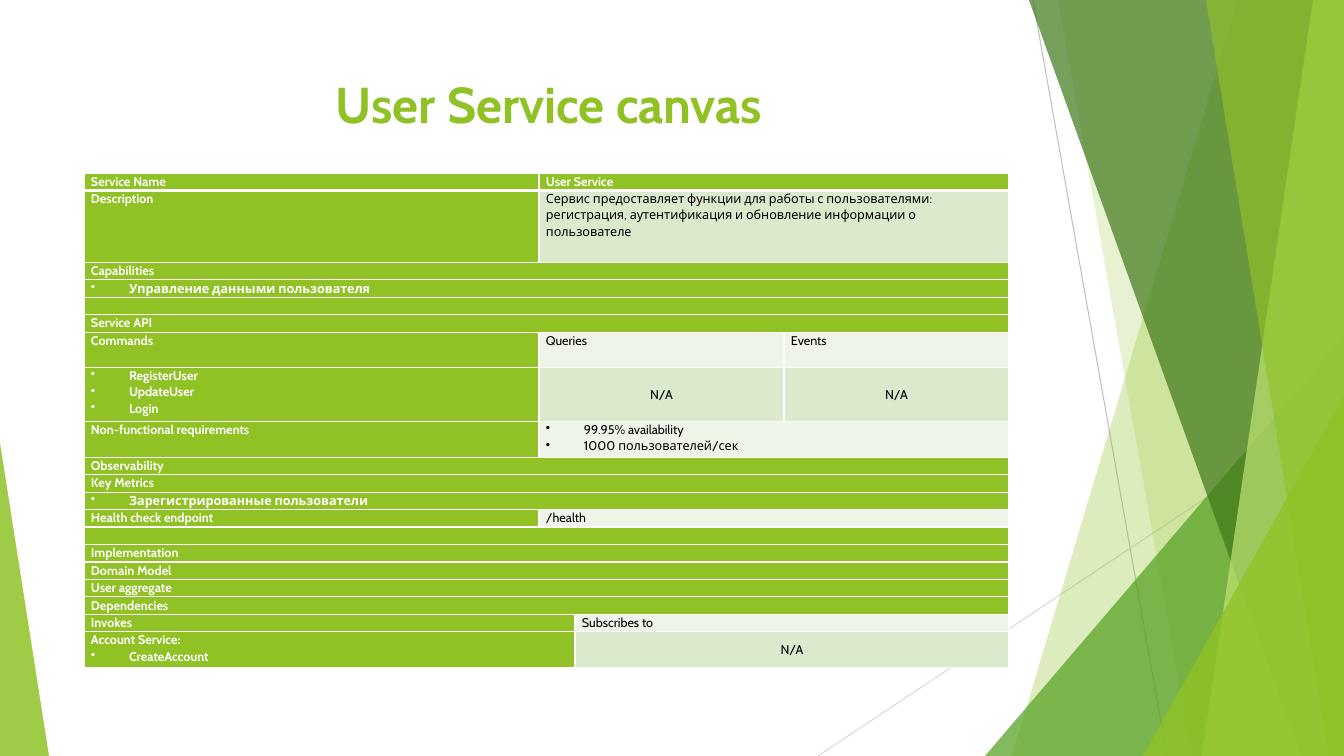
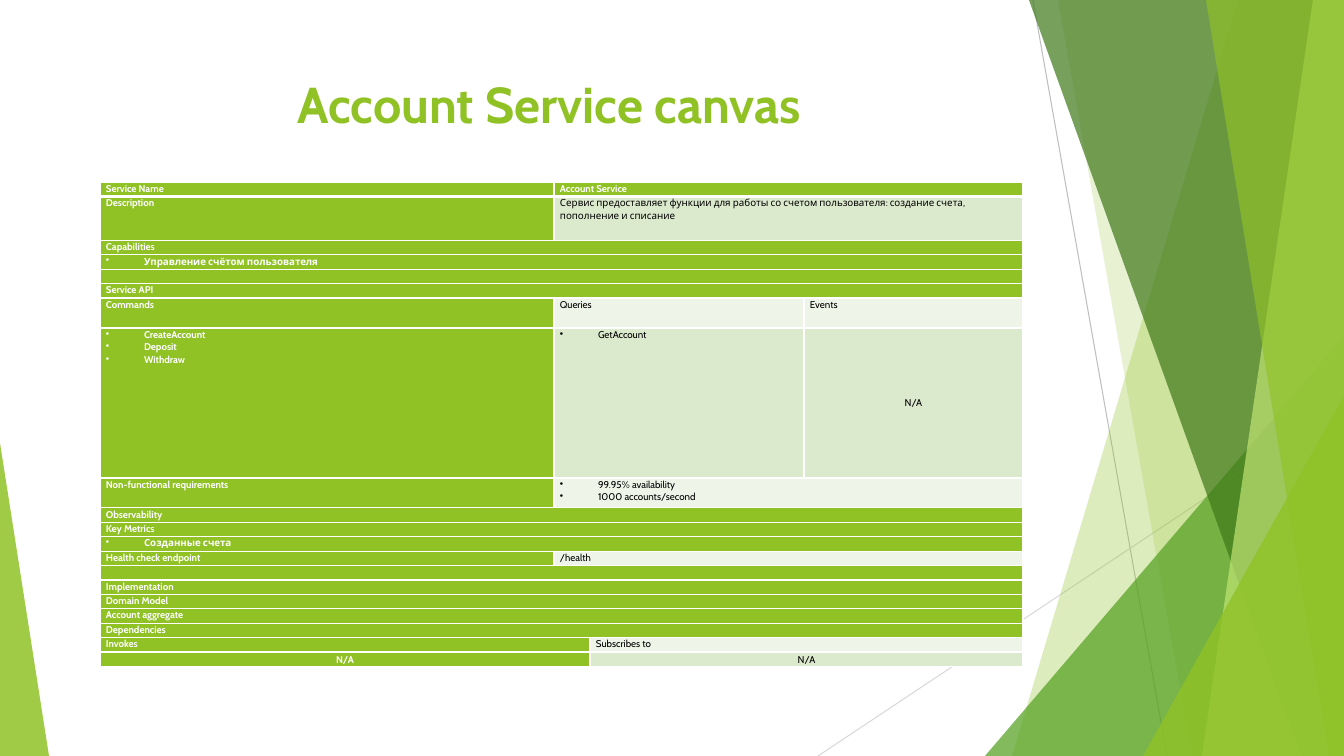
from lxml.etree import SubElement
from pptx import Presentation
from pptx.dml.color import RGBColor
from pptx.enum.shapes import MSO_CONNECTOR, MSO_SHAPE
from pptx.enum.text import MSO_ANCHOR, PP_ALIGN
from pptx.oxml.ns import qn
from pptx.util import Emu, Pt

WIDTH, HEIGHT = 1344, 756
PX = 12192000 / WIDTH
FONT = "Cabin"
COLORS = {
    "green": "90C226", "leaf": "54A021", "forest": "3F7819", "lime": "C0E474",
    "odd": "DBE9CD", "even": "EEF4E8", "white": "FFFFFF", "black": "000000",
    "grey": "BFBFBF", "pale_grey": "D9D9D9",
}

# Start and end of each line, colour
LINES = [((1033, 0), (1167, HEIGHT), "grey"), ((WIDTH, 406), (818, HEIGHT), "pale_grey")]
# Bands reach the right edge: left x at the top, left x at the bottom, colour, opacity
# Triangles: box, apex (0 left, 1 right), colour, opacity
DECOR = [
    ("band", (1238, 1012), "green", 30),
    ("band", (1058, 1192), "green", 20),
    ("triangle", (985, 336, 359, 420), 1, "leaf", 72),
    ("band", (1029, 1301), "forest", 70),
    ("band", (1313, 1202), "lime", 70),
    ("band", (1206, 1329), "green", 65),
    ("triangle", (1143, 396, 201, 360), 1, "green", 80),
    ("triangle", (0, 443, 49, 313), 0, "green", 85),
]
TITLE_BOX = (75, 68, 948, 145)

# Column spans of the table rows
FULL, PAIR, TRIO, HALVES = (4,), (1, 3), (1, 2, 1), (2, 2)
BULLET = "• "
BULLET_INDENT = 38

CANVASES = [
    {
        "title": "User Service canvas",
        "name": "User Service",
        "description": "Сервис предоставляет функции для работы с пользователями: "
                       "регистрация, аутентификация и обновление информации о пользователе",
        "capability": "• Управление данными пользователя",
        "commands": "• RegisterUser\n• UpdateUser\n• Login",
        "queries": "N/A",
        "requirements": "• 99.95% availability\n• 1000 пользователей/сек",
        "metric": "• Зарегистрированные пользователи",
        "aggregate": "User aggregate",
        "invokes": "Account Service:\n• CreateAccount",
        "left_top": (84, 173), "height": 495, "cols": (455, 36, 209, 225),
        "tall_rows": {1: 72, 6: 35, 7: 54, 8: 36, 19: 36},
        "size": 9, "inset": 7,
    },
    {
        "title": "Account Service canvas",
        "name": "Account Service",
        "description": "Сервис предоставляет функции для работы со счетом пользователя: "
                       "создание счета, пополнение и списание",
        "capability": "• Управление счётом пользователя",
        "commands": "• CreateAccount\n• Deposit\n• Withdraw",
        "queries": "• GetAccount",
        "requirements": "• 99.95% availability\n• 1000 accounts/second",
        "metric": "• Созданные счета",
        "aggregate": "Account aggregate",
        "invokes": "N/A",
        "left_top": (100, 182), "height": 485, "cols": (454, 36, 214, 219),
        "tall_rows": {1: 44, 6: 30, 7: 150, 8: 30},
        "size": 7, "inset": 6,
    },
]


def canvas_rows(c):
    return [
        (PAIR, "Service Name", c["name"]),
        (PAIR, "Description", c["description"]),
        (FULL, "Capabilities"),
        (FULL, c["capability"]),
        (FULL, ""),
        (FULL, "Service API"),
        (TRIO, "Commands", "Queries", "Events"),
        (TRIO, c["commands"], c["queries"], "N/A"),
        (PAIR, "Non-functional requirements", c["requirements"]),
        (FULL, "Observability"),
        (FULL, "Key Metrics"),
        (FULL, c["metric"]),
        (PAIR, "Health check endpoint", "/health"),
        (FULL, ""),
        (FULL, "Implementation"),
        (FULL, "Domain Model"),
        (FULL, c["aggregate"]),
        (FULL, "Dependencies"),
        (HALVES, "Invokes", "Subscribes to"),
        (HALVES, c["invokes"], "N/A"),
    ]


def px(n):
    return Emu(round(n * PX))


def box(*lengths):
    return [px(n) for n in lengths]


def rgb(name):
    return RGBColor.from_string(COLORS[name])


def style_font(font, size, color, bold):
    font.name, font.size, font.bold = FONT, Pt(size), bold
    font.color.rgb = rgb(color)


def add_line(slide, start, end, color):
    ln = slide.shapes.add_connector(MSO_CONNECTOR.STRAIGHT, *box(*start, *end))
    ln.line.color.rgb = rgb(color)
    ln.line.width = Pt(0.75)
    SubElement(ln._element.spPr, qn("a:effectLst"))


def add_band(slide, top_x, bottom_x):
    builder = slide.shapes.build_freeform(top_x, 0, scale=PX)
    builder.add_line_segments([(WIDTH, 0), (WIDTH, HEIGHT), (bottom_x, HEIGHT)], close=True)
    return builder.convert_to_shape()


def add_triangle(slide, bounds, apex):
    sp = slide.shapes.add_shape(MSO_SHAPE.ISOSCELES_TRIANGLE, *box(*bounds))
    sp.adjustments[0] = apex
    return sp


def add_decor(slide):
    for line in LINES:
        add_line(slide, *line)
    for kind, geometry, *apex, color, opacity in DECOR:
        if kind == "band":
            sp = add_band(slide, *geometry)
        else:
            sp = add_triangle(slide, geometry, *apex)
        sp.shadow.inherit = False
        sp.line.fill.background()
        sp.fill.solid()
        sp.fill.fore_color.rgb = rgb(color)
        clr = sp.fill._xPr.find(".//" + qn("a:srgbClr"))
        SubElement(clr, qn("a:alpha"), val=str(opacity * 1000))


def add_title(slide, text):
    tf = slide.shapes.add_textbox(*box(*TITLE_BOX)).text_frame
    tf.word_wrap = True
    p = tf.paragraphs[0]
    p.text = text
    p.alignment = PP_ALIGN.CENTER
    style_font(p.runs[0].font, 36, "green", True)


def set_borders(cell, row):
    """White 1 pt borders, 3 pt between the header and the body."""
    widths = {"L": 1, "R": 1, "T": 3 if row == 1 else 1, "B": 3 if row == 0 else 1}
    tc_pr = cell._tc.get_or_add_tcPr()
    for side, width in widths.items():
        ln = SubElement(tc_pr, qn("a:ln" + side), w=str(Pt(width)))
        fill = SubElement(ln, qn("a:solidFill"))
        SubElement(fill, qn("a:srgbClr"), val=COLORS["white"])


def add_bullet(p):
    p_pr = p._p.get_or_add_pPr()
    p_pr.set("marL", str(px(BULLET_INDENT)))
    p_pr.set("indent", str(-px(BULLET_INDENT)))
    SubElement(p_pr, qn("a:buChar"), char=BULLET.strip())


def fill_cell(cell, text, size, is_label):
    tf = cell.text_frame
    tf.text = text
    for p in tf.paragraphs:
        p.line_spacing = 1.07
        if text == "N/A":
            p.alignment = PP_ALIGN.CENTER
            cell.vertical_anchor = MSO_ANCHOR.MIDDLE
        if p.text.startswith(BULLET):
            p.text = p.text.removeprefix(BULLET)
            add_bullet(p)
        for r in p.runs:
            style_font(r.font, size, "white" if is_label else "black", is_label)
        if not p.runs:
            SubElement(p._p, qn("a:endParaRPr"), sz=str(size * 100))


def add_canvas(slide, c):
    rows, cols, tall = canvas_rows(c), c["cols"], c["tall_rows"]
    plain = (c["height"] - sum(tall.values())) / (len(rows) - len(tall))
    frame = slide.shapes.add_table(len(rows), len(cols),
                                   *box(*c["left_top"], sum(cols), c["height"]))
    table = frame.table
    table.first_row = table.horz_banding = False
    for col, width in zip(table.columns, cols):
        col.width = px(width)
    for i, (spans, *texts) in enumerate(rows):
        table.rows[i].height = px(tall.get(i, plain))
        start = 0
        for span, text in zip(spans, texts):
            is_label = i == 0 or start == 0
            body = "odd" if i % 2 else "even"
            for j in range(start, start + span):
                cell = table.cell(i, j)
                cell.margin_left = cell.margin_right = px(c["inset"])
                cell.margin_top = cell.margin_bottom = 0
                set_borders(cell, i)
                cell.fill.solid()
                cell.fill.fore_color.rgb = rgb("green" if is_label else body)
                fill_cell(cell, text if j == start else "", c["size"], is_label)
            if span > 1:
                table.cell(i, start).merge(table.cell(i, start + span - 1))
            start += span


def main():
    prs = Presentation()
    prs.slide_width, prs.slide_height = px(WIDTH), px(HEIGHT)
    for canvas in CANVASES:
        slide = prs.slides.add_slide(prs.slide_layouts[6])
        add_decor(slide)
        add_title(slide, canvas["title"])
        add_canvas(slide, canvas)
    prs.save("out.pptx")


if __name__ == "__main__":
    main()
